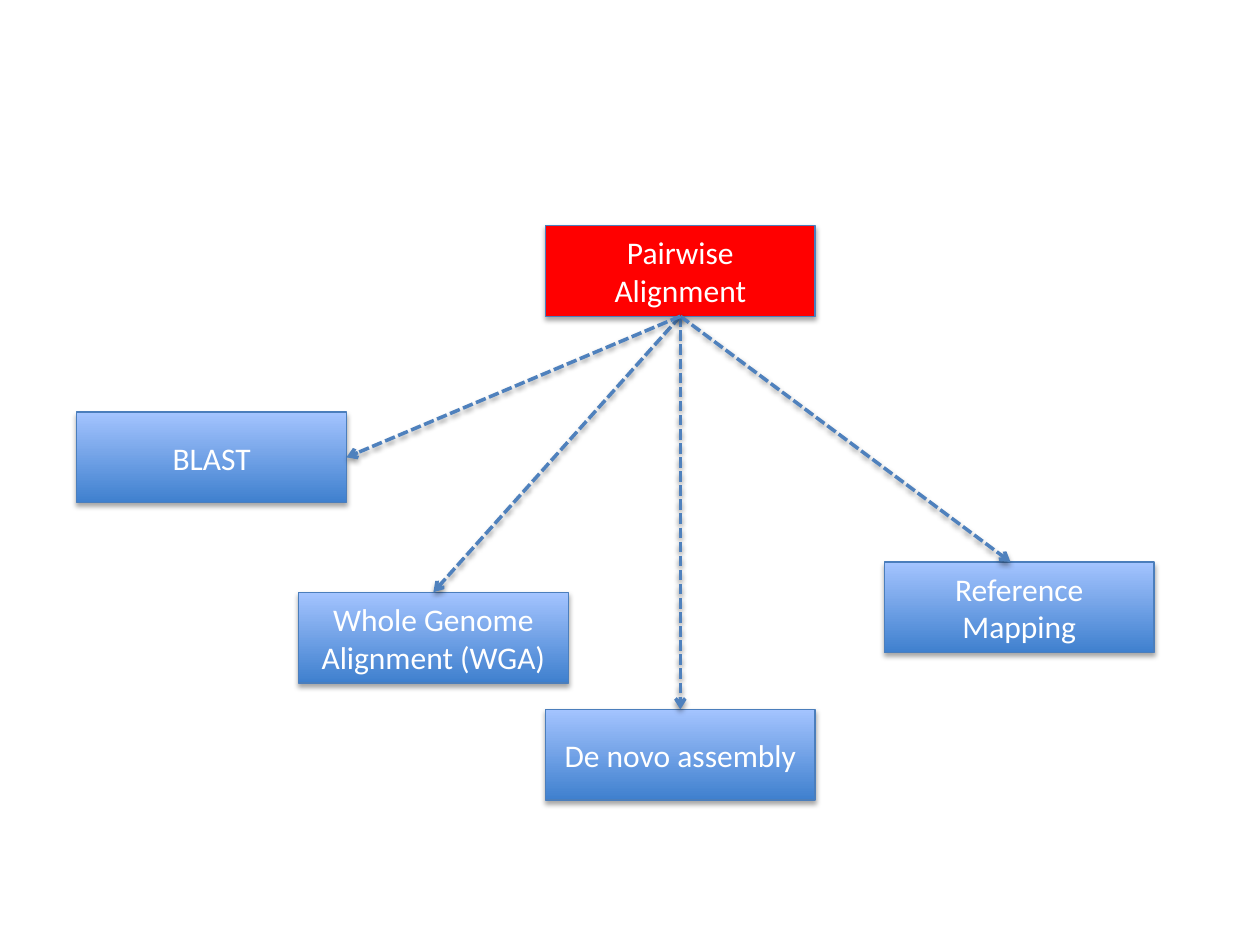
"""Build a slide linking pairwise alignment to its four applications."""
from lxml.etree import SubElement
from pptx import Presentation
from pptx.dml.color import RGBColor
from pptx.enum.dml import MSO_LINE
from pptx.enum.shapes import MSO_CONNECTOR, MSO_SHAPE
from pptx.enum.text import MSO_ANCHOR, PP_ALIGN
from pptx.oxml.ns import qn
from pptx.util import Inches, Pt

RED = RGBColor(0xFF, 0x00, 0x00)
WHITE = RGBColor(0xFF, 0xFF, 0xFF)
BLUE_DARK = RGBColor(0x3F, 0x80, 0xCE)
BLUE_LIGHT = RGBColor(0xA4, 0xC4, 0xFF)
BORDER = RGBColor(0x4B, 0x7E, 0xBC)
ARROW = RGBColor(0x4F, 0x81, 0xBD)
TOP, LEFT, BOTTOM, RIGHT = range(4)

presentation = Presentation()
presentation.slide_width, presentation.slide_height = Inches(10), Inches(7.5)
slide = presentation.slides.add_slide(presentation.slide_layouts[6])
COLUMN = presentation.slide_width / 100
ROW = presentation.slide_height / 75
BOX_WIDTH, BOX_HEIGHT = int(21.4 * COLUMN), int(7.2 * ROW)


def add_shadow(shape, distance, opacity):
    effects = SubElement(shape.element.spPr, qn("a:effectLst"))
    shadow = SubElement(effects, qn("a:outerShdw"), blurRad=str(Pt(3.1)),
                        dist=str(Pt(distance)), dir="5400000", rotWithShape="0")
    color = SubElement(shadow, qn("a:srgbClr"), val="000000")
    SubElement(color, qn("a:alpha"), val=str(opacity * 1000))


def add_box(text, column, row, solid=None):
    box = slide.shapes.add_shape(MSO_SHAPE.RECTANGLE, int(column * COLUMN),
                                 int(row * ROW), BOX_WIDTH, BOX_HEIGHT)
    if solid:
        box.fill.solid()
        box.fill.fore_color.rgb = solid
    else:
        box.fill.gradient()
        box.fill.gradient_angle = 90
        for stop, color in zip(box.fill.gradient_stops, (BLUE_DARK, BLUE_LIGHT)):
            stop.color.rgb = color
    box.line.color.rgb = BORDER
    box.line.width = Pt(0.75)
    add_shadow(box, 1.8, 35)
    frame = box.text_frame
    frame.word_wrap = True
    frame.vertical_anchor = MSO_ANCHOR.MIDDLE
    paragraph = frame.paragraphs[0]
    paragraph.text = text
    paragraph.alignment = PP_ALIGN.CENTER
    paragraph.font.name = "Calibri"
    paragraph.font.size = Pt(18)
    paragraph.font.color.rgb = WHITE
    return box


pairwise = add_box("Pairwise Alignment", 43.3, 17.9, RED)
applications = [
    ("Whole Genome Alignment (WGA)", 23.7, 47, TOP),
    ("De novo assembly", 43.3, 56.3, TOP),
    ("Reference Mapping", 70.2, 44.6, None),
    ("BLAST", 6.1, 32.7, RIGHT),
]
for text, column, row, side in applications:
    box = add_box(text, column, row)
    arrow = slide.shapes.add_connector(MSO_CONNECTOR.STRAIGHT, 0, 0,
                                       int((column + 10) * COLUMN), box.top)
    arrow.begin_connect(pairwise, BOTTOM)
    if side is not None:
        arrow.end_connect(box, side)
    arrow.line.color.rgb = ARROW
    arrow.line.width = Pt(2)
    arrow.line.dash_style = MSO_LINE.SQUARE_DOT
    SubElement(arrow.line._get_or_add_ln(), qn("a:tailEnd"), type="arrow")
    add_shadow(arrow, 1.6, 38)

presentation.save("out.pptx")
